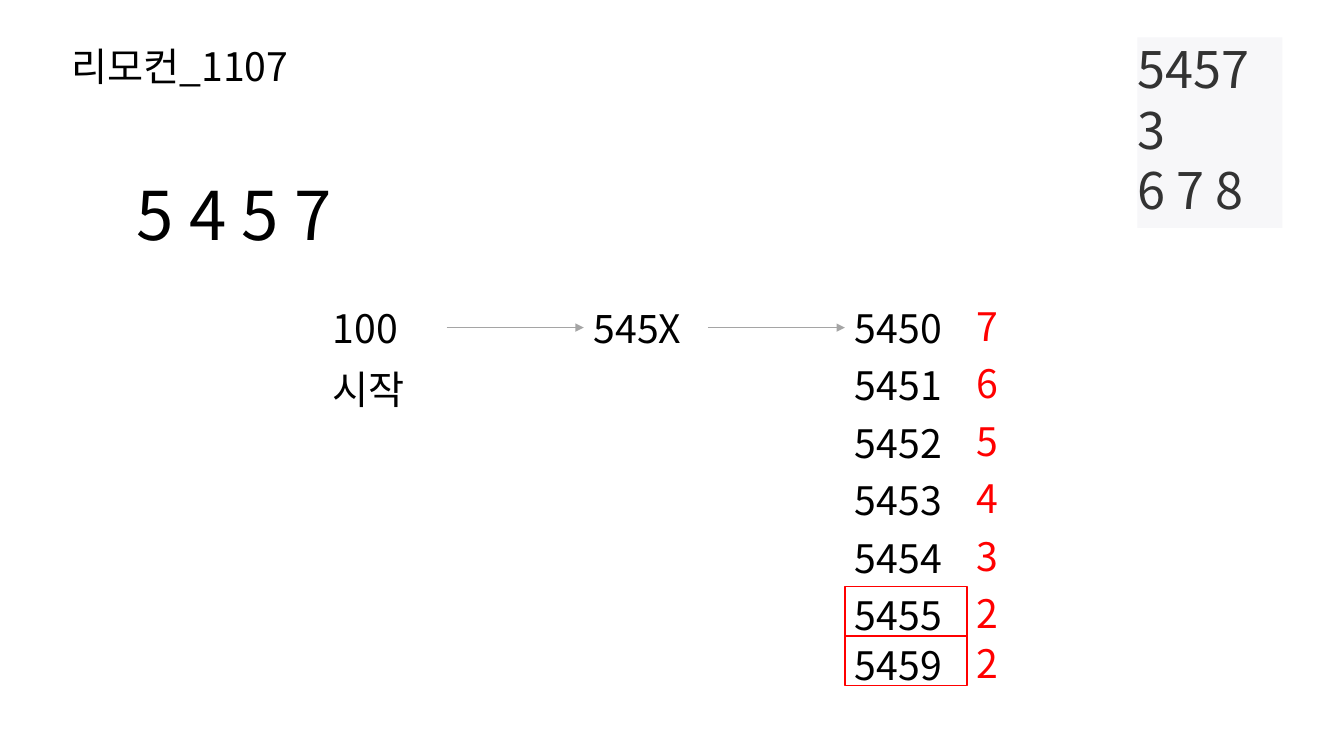
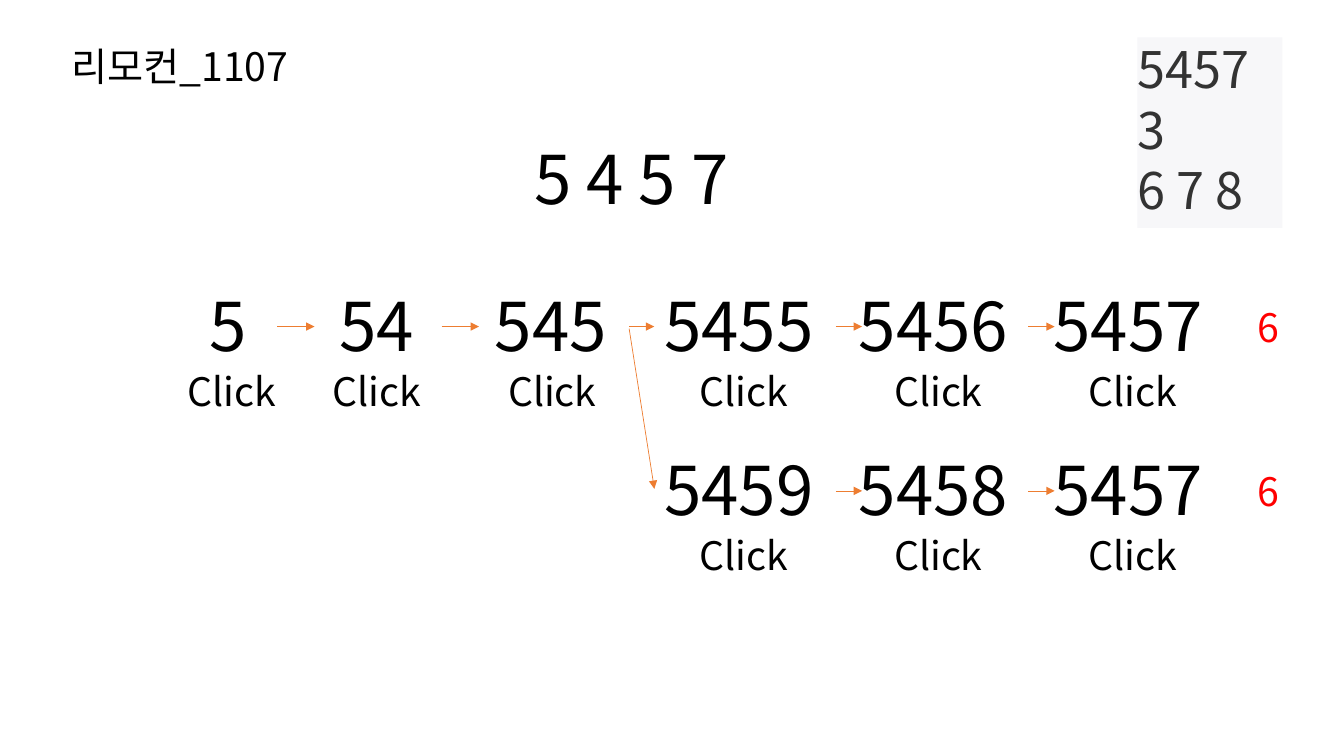
from lxml import etree
from pptx import Presentation, util as u
from pptx.dml.color import RGBColor
from pptx.enum import shapes, text
from pptx.oxml.ns import qn

FONT = "Noto Sans CJK KR"
COLORS = {
    "ink": "000000",
    "code": "333333",
    "code_back": "F7F7F9",
    "count": "FF0000",
    "search": "A5A5A5",
    "click": "ED7D31",
}
SMALL, MEDIUM, LARGE = 28, 36, 48  # text sizes in points
LABEL_W, SMALL_H, LARGE_H = 259, 57, 91


def px(length):
    """100 px make one inch."""
    return u.Emu(length * 9144)


def color(name):
    return RGBColor.from_string(COLORS[name])


def style(paragraph, size, ink):
    paragraph.font.size = u.Pt(size)
    paragraph.font.color.rgb = color(ink)
    paragraph.font.name = FONT
    props = paragraph._p.get_or_add_pPr().find(qn("a:defRPr"))
    etree.SubElement(props, qn("a:ea")).set("typeface", FONT)


def label(slide, words, left, top, size=SMALL, ink="ink", width=LABEL_W):
    height = LARGE_H if size == LARGE else SMALL_H
    box = slide.shapes.add_textbox(px(left), px(top), px(width), px(height))
    frame = box.text_frame
    frame.word_wrap = True
    frame.auto_size = text.MSO_AUTO_SIZE.SHAPE_TO_FIT_TEXT
    frame.text = words
    style(frame.paragraphs[0], size, ink)


def rectangle(slide, left, top, width, height):
    box = slide.shapes.add_shape(
        shapes.MSO_SHAPE.RECTANGLE, px(left), px(top), px(width), px(height))
    box.shadow.inherit = False
    return box


def arrow(slide, x1, y1, x2, y2, ink):
    line = slide.shapes.add_connector(
        shapes.MSO_CONNECTOR.STRAIGHT, px(x1), px(y1), px(x2), px(y2))
    line.line.color.rgb = color(ink)
    line.line.width = u.Pt(0.5)
    etree.SubElement(line.line._get_or_add_ln(), qn("a:tailEnd")).set("type", "triangle")
    etree.SubElement(line._element.spPr, qn("a:effectLst"))


def sample_input(slide, left, top, width, height):
    card = rectangle(slide, left, top, width, height)
    card.fill.solid()
    card.fill.fore_color.rgb = color("code_back")
    card.line.fill.background()
    frame = card.text_frame
    frame.margin_left = frame.margin_top = frame.margin_right = 0
    frame.margin_bottom = px(7)
    frame.vertical_anchor = text.MSO_ANCHOR.MIDDLE
    frame.text = "5457\n3\n6 7 8"
    for row in frame.paragraphs:
        row.alignment = text.PP_ALIGN.LEFT
        style(row, MEDIUM, "code")


def problem_slide(deck, target_left, target_top):
    """Blank slide with the shared title, sample input and target channel."""
    slide = deck.slides.add_slide(deck.slide_layouts[6])
    label(slide, "리모컨_1107", 61, 37, width=761)
    sample_input(slide, 1128, 37, 144, 189)
    label(slide, "5 4 5 7", target_left, target_top, LARGE)
    return slide


def search_start(slide, left, top):
    """From channel 100 to the candidate column, in columns of equal width."""
    for column, channel in enumerate(("100", "545X")):
        x = left + column * LABEL_W
        label(slide, channel, x, top)
        arrow(slide, x + 123, top + 28, x + LABEL_W, top + 28, "search")
    label(slide, "시작", left, top + 61)


def candidates(slide, left, top):
    """Candidate channels with their click counts; the best ones are framed."""
    width, row_h, best_h = 121, 57, 49
    best = ("5455", "5459")
    y = top
    for channel, count in (("5450", 7), ("5451", 6), ("5452", 5), ("5453", 4),
                           ("5454", 3), ("5455", 2), ("5459", 2)):
        label(slide, channel, left, y)
        label(slide, str(count), left + width, y - 2, ink="count", width=width)
        if channel in best:
            frame = rectangle(slide, left, y, width, best_h)
            frame.fill.background()
            frame.line.color.rgb = color("count")
            frame.line.width = u.Pt(1)
        y += best_h if channel in best else row_h


def click_row(slide, left, top, steps, arrows):
    """Steps are (channel, channel x, caption x); arrows are (start, end)."""
    for channel, channel_x, caption_x in steps:
        label(slide, channel, left + channel_x, top, LARGE)
        label(slide, "Click", left + caption_x, top + 82)
    for start, end in arrows:
        arrow(slide, left + start, top + 47, left + end, top + 47, "click")


def click_branch(slide, left, top, channels):
    """Three clicks after 545, ending with the total count."""
    steps = [(channel, column * 193, column * 193 + 35)
             for column, channel in enumerate(channels)]
    click_row(slide, left, top, steps, [(180, 206), (371, 397)])
    label(slide, "6", left + 588, top + 19, ink="count", width=52)


def search_slide(deck):
    slide = problem_slide(deck, 126, 167)
    search_start(slide, 320, 297)
    candidates(slide, 838, 297)


def clicks_slide(deck):
    slide = problem_slide(deck, 520, 131)
    left, top, branch_left, branch_gap = 176, 277, 649, 163
    # Shared digits
    click_row(slide, left, top,
              [("5", 22, 0), ("54", 151, 144), ("545", 305, 318)],
              [(99, 136), (262, 299), (448, 473)])
    # Upper and lower branch
    click_branch(slide, branch_left, top, ("5455", "5456", "5457"))
    click_branch(slide, branch_left, top + branch_gap, ("5459", "5458", "5457"))
    arrow(slide, left + 448, top + 49, branch_left, top + branch_gap + 45, "click")


def main():
    deck = Presentation()
    deck.slide_width, deck.slide_height = px(1333), px(750)
    search_slide(deck)
    clicks_slide(deck)
    deck.save("out.pptx")


if __name__ == "__main__":
    main()
